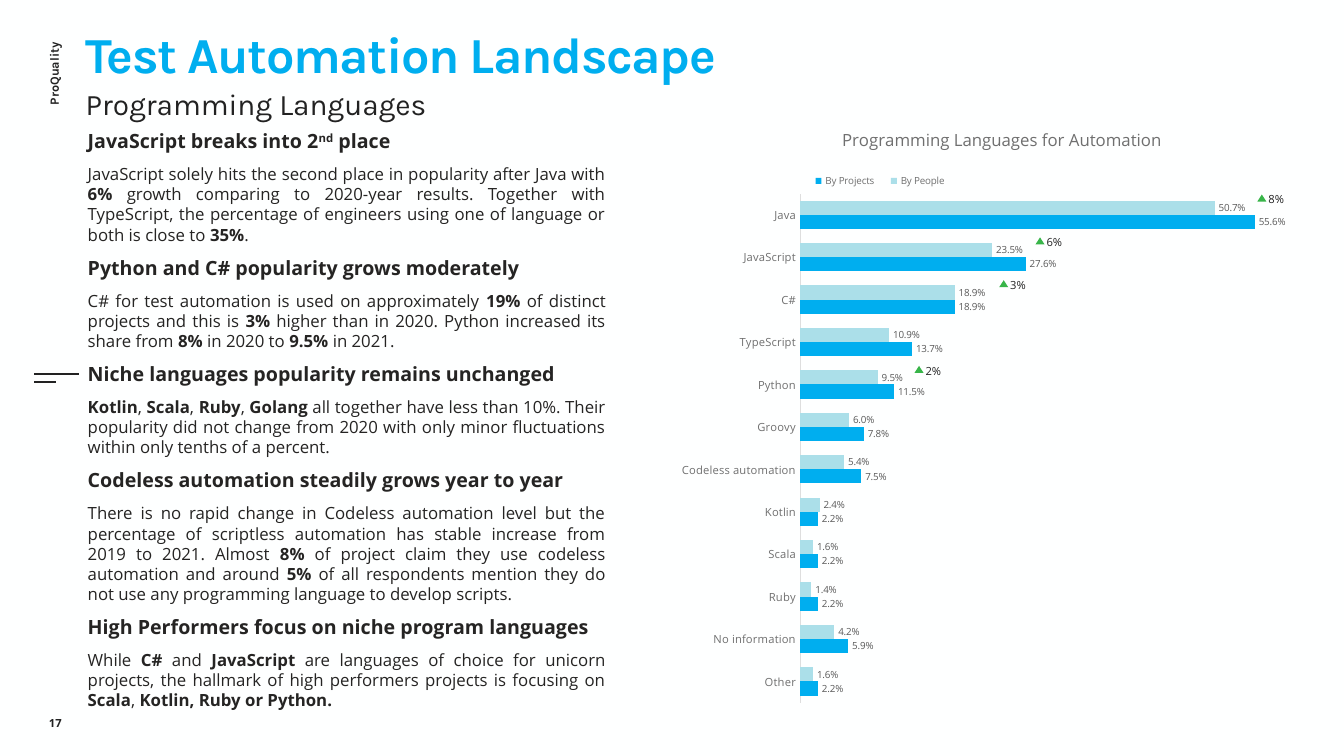
from lxml.etree import SubElement
from pptx import Presentation
from pptx.chart.data import CategoryChartData
from pptx.dml.color import RGBColor
from pptx.enum.chart import XL_CHART_TYPE, XL_LABEL_POSITION, XL_LEGEND_POSITION, XL_TICK_MARK
from pptx.enum.shapes import MSO_CONNECTOR, MSO_SHAPE
from pptx.enum.text import MSO_ANCHOR, MSO_AUTO_SIZE, PP_ALIGN
from pptx.oxml import parse_xml
from pptx.oxml.ns import nsdecls, qn
from pptx.util import Inches, Pt

# Asterisks enclose bold words, carets enclose superscripts
FINDINGS = [
    ("JavaScript breaks into 2^nd^ place",
     "JavaScript solely hits the second place in popularity after Java with *6%* growth comparing to "
     "2020-year results. Together with TypeScript, the percentage of engineers using one of language "
     "or both is close to *35%*."),
    ("Python and C# popularity grows moderately",
     "C# for test automation is used on approximately *19%* of distinct projects and this is *3%* "
     "higher than in 2020. Python increased its share from *8%* in 2020 to *9.5%* in 2021."),
    ("Niche languages popularity remains unchanged",
     "*Kotlin*, *Scala*, *Ruby*, *Golang* all together have less than 10%. Their popularity did not "
     "change from 2020 with only minor fluctuations within only tenths of a percent."),
    ("Codeless automation steadily grows year to year",
     "There is no rapid change in Codeless automation level but the percentage of scriptless "
     "automation has stable increase from 2019 to 2021. Almost *8%* of project claim they use "
     "codeless automation and around *5% *of all respondents mention they do not use any "
     "programming language to develop scripts."),
    ("High Performers focus on niche program languages",
     "While *C#* and *JavaScript* are languages of choice for unicorn projects, the hallmark of high "
     "performers projects is focusing on *Scala*, *Kotlin, Ruby or Python.*"),
]

# Language, share by people, share by projects
SHARES = [
    ("Java", 0.507, 0.556), ("JavaScript", 0.235, 0.276), ("C#", 0.189, 0.189),
    ("TypeScript", 0.109, 0.137), ("Python", 0.095, 0.115), ("Groovy", 0.06, 0.078),
    ("Codeless automation", 0.054, 0.075), ("Kotlin", 0.024, 0.022), ("Scala", 0.016, 0.022),
    ("Ruby", 0.014, 0.022), ("No information", 0.042, 0.059), ("Other", 0.016, 0.022),
]

# Chart row, left edge, growth
GROWTH = [(0, 12.47, "8%"), (1, 10.27, "6%"), (2, 9.91, "3%"), (4, 9.07, "2%")]
GROWTH_TOP, ROW_PITCH = 1.93, 0.425


def rgb(value):
    return RGBColor.from_string(value)


def box(*lengths):
    return [Inches(length) for length in lengths]


class Deck:
    HEAD, TEXT = "Karla", "Open Sans"
    INK, BODY, GREY, LABEL, AXIS = "222222", "252423", "6F6F6F", "595959", "DEDEDE"
    BLUE, PALE, GREEN, PAPER = "00AEEF", "ABDFE9", "38B549", "FEFFFF"

    def __init__(self):
        self.deck = Presentation()
        self.deck.slide_width, self.deck.slide_height = box(13.33, 7.5)
        self.slide = self.deck.slides.add_slide(self.deck.slide_layouts[1])
        self.slide.background.fill.solid()
        self.slide.background.fill.fore_color.rgb = rgb(self.PAPER)

    def style(self, font, size, color, name=TEXT, bold=False):
        font.name, font.size, font.bold = name, Pt(size), bold
        font.color.rgb = rgb(color)

    def place(self, holder, at, inset=None):
        holder.left, holder.top, holder.width, holder.height = box(*at)
        frame = holder.text_frame
        frame.auto_size, frame.vertical_anchor = MSO_AUTO_SIZE.NONE, MSO_ANCHOR.TOP
        frame.word_wrap = True
        if inset is not None:
            frame.margin_left = frame.margin_top = frame.margin_right = frame.margin_bottom = Inches(inset)
        return frame

    def title(self, wording, at):
        heading = self.place(self.slide.shapes.title, at, 0).paragraphs[0]
        heading.alignment, heading.line_spacing = PP_ALIGN.LEFT, 0.8
        self.style(heading.font, 36, self.BLUE, self.HEAD, True)
        run = heading.add_run()
        run.text = wording
        run.font.bold = True
        run.font._element.set("spc", "-100")

    def label(self, wording, at, size, font=TEXT, bold=False, inset=None, wrap=True,
              align=PP_ALIGN.LEFT, anchor=MSO_ANCHOR.TOP, spacing=None, rotation=0):
        holder = self.slide.shapes.add_textbox(*box(*at))
        holder.rotation = rotation
        frame = self.place(holder, at, inset)
        frame.word_wrap, frame.vertical_anchor = wrap, anchor
        line = frame.paragraphs[0]
        line.text, line.alignment, line.line_spacing = wording, align, spacing
        self.style(line.font, size, self.INK, font, bold)

    def findings(self, sections, at):
        frame = self.place(self.slide.placeholders[1], at)
        for number, (heading, detail) in enumerate(sections):
            first = frame.paragraphs[0] if number == 0 else frame.add_paragraph()
            self.finding(first, heading, 14, True, PP_ALIGN.LEFT)
            self.finding(frame.add_paragraph(), detail, 12, False, PP_ALIGN.JUSTIFY)
        frame.paragraphs[0].space_before = Pt(0)

    def finding(self, paragraph, marked, size, bold, align):
        paragraph.alignment = align
        paragraph.space_before = paragraph.space_after = Pt(4)
        properties = paragraph._p.get_or_add_pPr()
        properties.set("marL", "0")
        properties.set("indent", "0")
        SubElement(properties, qn("a:buNone"))
        self.style(paragraph.font, size, self.BODY, bold=bold)
        for i, stretch in enumerate(marked.split("*")):
            for j, words in enumerate(stretch.split("^")):
                if not words:
                    continue
                run = paragraph.add_run()
                run.text = words
                if i % 2:
                    run.font.bold = True
                if j % 2:
                    run.font._element.set("baseline", "30000")

    def rule(self, left, right, y):
        line = self.slide.shapes.add_connector(MSO_CONNECTOR.STRAIGHT, *box(left, y, right, y))
        line.line.color.rgb, line.line.width = rgb(self.INK), Pt(1.5)
        SubElement(line._element.spPr, qn("a:effectLst"))

    def growth(self, left, top, change):
        arrow = self.slide.shapes.add_shape(MSO_SHAPE.ISOSCELES_TRIANGLE, *box(left, top, 0.09, 0.07))
        arrow.shadow.inherit = False
        arrow.fill.solid()
        arrow.fill.fore_color.rgb = rgb(self.GREEN)
        arrow.line.fill.background()
        self.label(change, (left + 0.11, top - 0.02, 0.16, 0.13), 8, inset=0, wrap=False)

    def chart_layout(self, part, index, **values):
        for old in part.findall(qn("c:layout")):
            part.remove(old)
        target = '<c:layoutTarget val="inner"/>' if part.tag == qn("c:plotArea") else ""
        modes = "".join(f'<c:{key}Mode val="edge"/>' for key in "xy")
        sizes = "".join(f'<c:{key} val="{value}"/>' for key, value in values.items())
        part.insert(index, parse_xml(f'<c:layout {nsdecls("c")}><c:manualLayout>'
                                     f'{target}{modes}{sizes}</c:manualLayout></c:layout>'))

    def bar_chart(self, heading, shares, at):
        languages, people, projects = zip(*shares)
        data = CategoryChartData(number_format="0.0%")
        data.categories = languages
        data.add_series("By People", people)
        data.add_series("By Projects", projects)
        chart = self.slide.shapes.add_chart(XL_CHART_TYPE.BAR_CLUSTERED, *box(*at), data).chart
        self.style(chart.font, 10, self.INK)

        # Heading and legend
        chart.has_title = True
        chart.chart_title.text_frame.text = heading
        self.style(chart.chart_title.text_frame.paragraphs[0].font, 12, self.GREY)
        chart.has_legend = True
        chart.legend.position = XL_LEGEND_POSITION.TOP
        chart.legend.include_in_layout = False
        self.style(chart.legend.font, 7, self.GREY)

        # Axes
        language_axis, share_axis = chart.category_axis, chart.value_axis
        language_axis.reverse_order = True
        language_axis.major_tick_mark = XL_TICK_MARK.NONE
        language_axis.format.line.color.rgb = rgb(self.AXIS)
        language_axis.format.line.width = Pt(0.75)
        self.style(language_axis.tick_labels.font, 8, self.GREY)
        share_axis.minimum_scale, share_axis.maximum_scale = 0, 0.6
        share_axis.has_major_gridlines = share_axis.visible = False

        # Bars and their values
        plot = chart.plots[0]
        plot.gap_width, plot.overlap, plot.vary_by_categories = 100, 0, False
        for series, color in zip(plot.series, (self.PALE, self.BLUE)):
            series.format.fill.solid()
            series.format.fill.fore_color.rgb = rgb(color)
            values = series.data_labels
            values.show_value, values.position = True, XL_LABEL_POSITION.OUTSIDE_END
            values.number_format, values.number_format_is_linked = "0.0%", False
            self.style(values.font, 7, self.LABEL)

        # Places inside the chart
        inner = chart.element.find(qn("c:chart"))
        self.chart_layout(inner.find(qn("c:title")), 1, x=0.25, y=0)
        self.chart_layout(inner.find(qn("c:legend")), 1, x=0.19, y=0.07, w=0.25, h=0.05)
        self.chart_layout(inner.find(qn("c:plotArea")), 0, x=0.188, y=0.116, w=0.779, h=0.849)


def main():
    page = Deck()

    # Margin: section name, rules and page number
    page.label("ProQuality", (0.11, 0.59, 0.85, 0.25), 9, page.HEAD, True, wrap=False, rotation=270)
    page.rule(0.34, 0.78, 3.71)
    page.rule(0.34, 0.56, 3.79)
    page.label("17", (0, 6.97, 1.1, 0.4), 8, bold=True, align=PP_ALIGN.CENTER, anchor=MSO_ANCHOR.MIDDLE)

    # Headings and findings
    page.title("Test Automation Landscape", (0.85, 0.35, 10.01, 0.5))
    page.label("Programming Languages", (0.85, 0.67, 12.27, 0.48), 21.3, page.HEAD, inset=0, spacing=1.5)
    page.findings(FINDINGS, (0.77, 1.23, 5.34, 5.89))

    # Chart with growth marks
    page.bar_chart("Programming Languages for Automation", SHARES, (6.76, 1.23, 6.25, 5.95))
    for row, left, change in GROWTH:
        page.growth(left, GROWTH_TOP + row * ROW_PITCH, change)

    page.deck.save("out.pptx")


if __name__ == "__main__":
    main()
